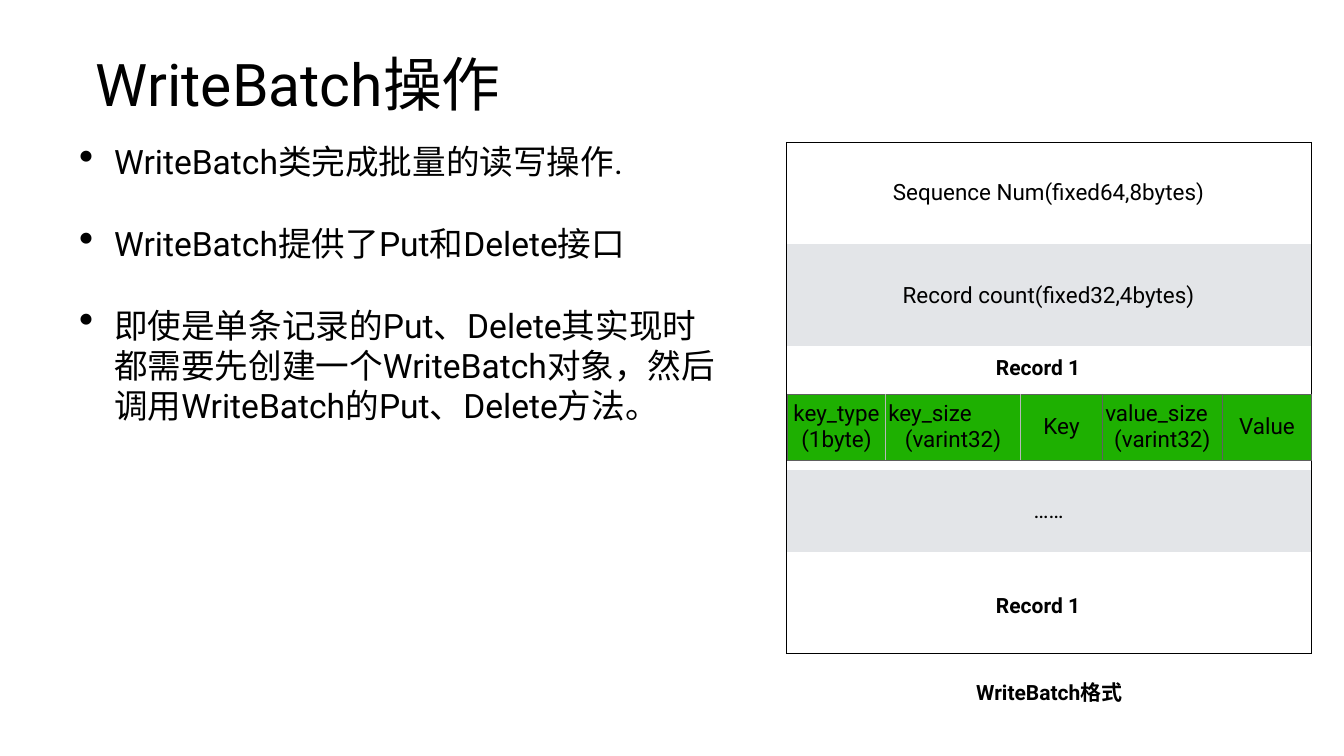
"""Build the WriteBatch slide with its record layout tables."""
from dataclasses import dataclass

from lxml import etree
from pptx import Presentation
from pptx.dml.color import RGBColor
from pptx.enum.text import MSO_ANCHOR, MSO_AUTO_SIZE, PP_ALIGN
from pptx.oxml.ns import qn
from pptx.util import Pt

LEFT, CENTER = PP_ALIGN.LEFT, PP_ALIGN.CENTER
TOP, MIDDLE = MSO_ANCHOR.TOP, MSO_ANCHOR.MIDDLE
FIT, FIXED = MSO_AUTO_SIZE.SHAPE_TO_FIT_TEXT, MSO_AUTO_SIZE.NONE


@dataclass(frozen=True)
class Theme:
    font: str = "Roboto"
    ink: str = "000000"
    white: str = "FFFFFF"
    grey: str = "E3E5E8"
    green: str = "1EB001"
    rule: str = "606060"
    pale: str = "B8B8B8"
    title: int = 84
    body: int = 48
    cell: int = 32
    label: int = 30
    inset: int = 4


THEME = Theme()
TITLE = "WriteBatch操作"
POINTS = [
    "WriteBatch类完成批量的读写操作.",
    "WriteBatch提供了Put和Delete接口",
    "即使是单条记录的Put、Delete其实现时都需要先创建一个WriteBatch对象，"
    "然后调用WriteBatch的Put、Delete方法。",
]
ROWS = [
    ("Sequence Num(fixed64,8bytes)", 146),
    ("Record count(fixed32,4bytes)", 146),
    ("", 177),
    ("……", 116),
    ("", 146),
]
FIELDS = [
    ("key_type(1byte)", 140),
    ("key_size\n(varint32)", 193),
    ("Key", 117),
    ("value_size\n(varint32)", 171),
    ("Value", 128),
]
LABELS = [
    ("Record 1", (1414, 503, 138, 44), False),
    ("Record 1", (1414, 842, 138, 44), False),
    ("WriteBatch格式", (1208, 950, 582, 76), True),
]


def color(code):
    return RGBColor.from_string(code)


def style(frame, size, align, bold=False):
    for para in frame.paragraphs:
        para.alignment = align
        for run in para.runs:
            run.font.name = THEME.font
            run.font.size = Pt(size)
            run.font.bold = bold
            run.font.color.rgb = color(THEME.ink)


def inset(item):
    item.margin_left = item.margin_right = Pt(THEME.inset)
    item.margin_top = item.margin_bottom = Pt(THEME.inset)


def place(shape, box):
    shape.left, shape.top, shape.width, shape.height = map(Pt, box)


def fill_frame(frame, text, size, align, anchor, bold=False):
    inset(frame)
    frame.vertical_anchor = anchor
    frame.text = text
    style(frame, size, align, bold)


def add_text(slide, text, box, size, align, anchor, bold=False, wrap=True):
    frame = slide.shapes.add_textbox(*map(Pt, box)).text_frame
    fill_frame(frame, text, size, align, anchor, bold)
    frame.word_wrap = wrap
    frame.auto_size = FIXED if wrap else FIT
    return frame


def add_bullets(frame):
    for para in frame.paragraphs:
        para.space_before = Pt(59)
        props = para._p.get_or_add_pPr()
        props.set("marL", str(Pt(50)))
        props.set("indent", str(-Pt(50)))
        etree.SubElement(props, qn("a:buSzPct"), val="125000")
        etree.SubElement(props, qn("a:buChar"), char="•")


def add_edges(cell, edges):
    props = cell._tc.get_or_add_tcPr()
    for side in "LRTB":
        code = edges.get(side)
        line = etree.SubElement(props, qn("a:ln" + side), w=str(Pt(1)))
        if code:
            solid = etree.SubElement(line, qn("a:solidFill"))
            etree.SubElement(solid, qn("a:srgbClr"), val=code)
        else:
            etree.SubElement(line, qn("a:noFill"))


def fill_cell(cell, text, fill, edges):
    inset(cell)
    cell.vertical_anchor = MIDDLE
    add_edges(cell, edges)
    cell.fill.solid()
    cell.fill.fore_color.rgb = color(fill)
    cell.text_frame.text = text
    style(cell.text_frame, THEME.cell, CENTER)
    if "\n" in text:
        cell.text_frame.paragraphs[0].alignment = LEFT


def add_grid(slide, left, top, widths, heights):
    box = (left, top, sum(widths), sum(heights))
    table = slide.shapes.add_table(len(heights), len(widths), *map(Pt, box)).table
    table.first_row = table.horz_banding = False
    for col, width in zip(table.columns, widths):
        col.width = Pt(width)
    for row, height in zip(table.rows, heights):
        row.height = Pt(height)
    return table


def add_batch(slide):
    table = add_grid(slide, 1123, 203, [750], [high for _, high in ROWS])
    for i, (text, _) in enumerate(ROWS):
        edges = {"L": THEME.ink, "R": THEME.ink}
        if i == 0:
            edges["T"] = THEME.ink
        if i == len(ROWS) - 1:
            edges["B"] = THEME.ink
        fill = THEME.grey if i % 2 else THEME.white
        fill_cell(table.cell(i, 0), text, fill, edges)


def add_record(slide):
    table = add_grid(slide, 1125, 563, [wide for _, wide in FIELDS], [94])
    rules = [THEME.rule, THEME.pale, THEME.pale] + [THEME.rule] * 3
    for i, (text, _) in enumerate(FIELDS):
        edges = dict(L=rules[i], R=rules[i + 1], T=THEME.rule, B=THEME.rule)
        fill_cell(table.cell(0, i), text, THEME.green, edges)


def main():
    deck = Presentation()
    deck.slide_width, deck.slide_height = Pt(1920), Pt(1080)
    slide = deck.slides.add_slide(deck.slide_layouts[5])
    title = slide.shapes.title
    place(title, (133, 28, 1654, 180))
    fill_frame(title.text_frame, TITLE, THEME.title, LEFT, MIDDLE)
    title.text_frame.auto_size = FIXED
    add_batch(slide)
    add_record(slide)
    for text, box, wrap in LABELS:
        anchor = TOP if wrap and box[3] > 100 else MIDDLE
        add_text(slide, text, box, THEME.label, CENTER, anchor, True, wrap)
    body = add_text(slide, "\n".join(POINTS), (109, 198, 928, 756),
                    THEME.body, LEFT, TOP)
    add_bullets(body)
    deck.save("out.pptx")


if __name__ == "__main__":
    main()
